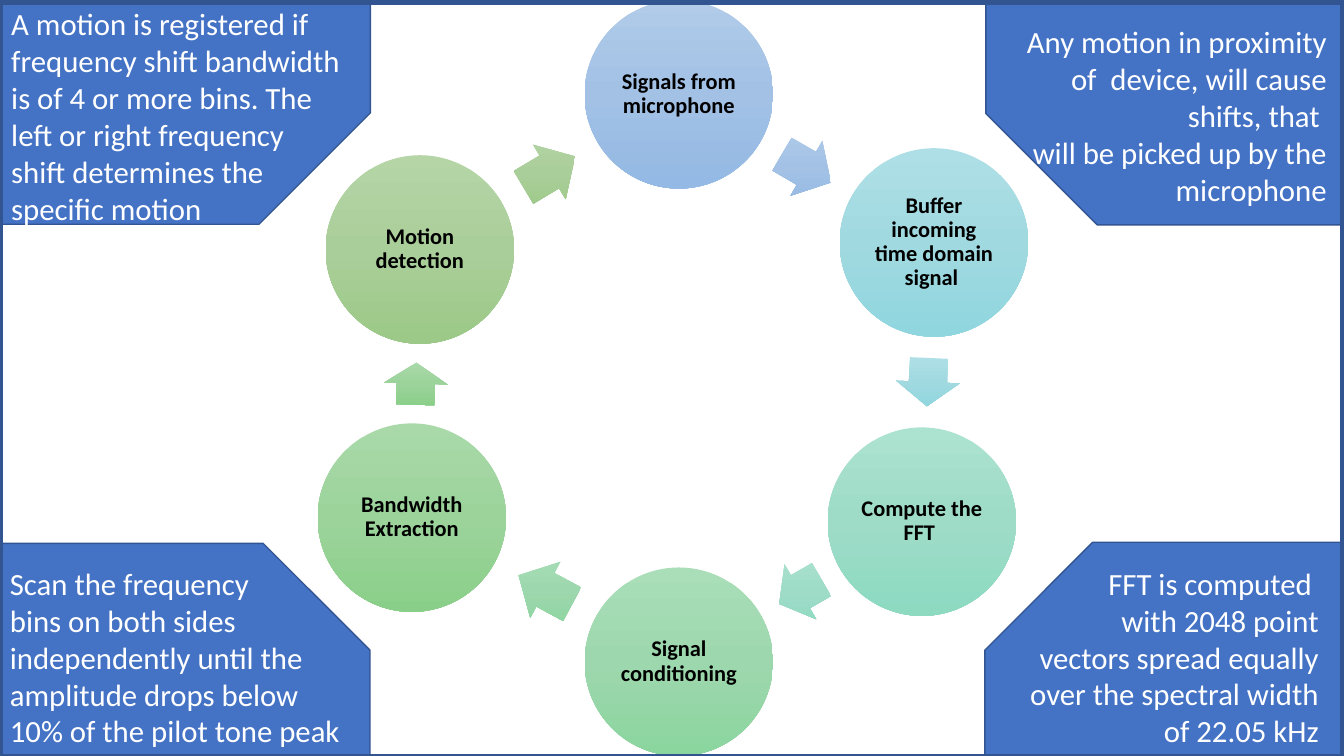
from dataclasses import dataclass
from math import atan2, degrees, hypot

from pptx import Presentation
from pptx.dml.color import RGBColor
from pptx.enum.shapes import MSO_SHAPE as Shape
from pptx.enum.text import MSO_ANCHOR as Anchor, PP_ALIGN as Align
from pptx.oxml import parse_xml
from pptx.util import Inches, Pt

NS = "http://schemas.openxmlformats.org/drawingml/2006/main"
SLIDE_W, SLIDE_H = 13.333, 7.5


@dataclass(frozen=True)
class Theme:
    font: str = "Calibri"
    panel: str = "4472C4"
    edge: str = "325491"
    label: str = "000000"
    note: str = "FFFFFF"
    label_size: int = 16
    note_size: int = 22
    edge_width: float = 1
    frame_width: float = 5


@dataclass(frozen=True)
class Box:
    """A rectangle in percent of the slide's width and height."""
    x: float
    y: float
    w: float
    h: float

    def inches(self) -> tuple[float, float, float, float]:
        return (self.x * SLIDE_W / 100, self.y * SLIDE_H / 100,
                self.w * SLIDE_W / 100, self.h * SLIDE_H / 100)


@dataclass(frozen=True)
class Step:
    """A circle of the cycle; its centre is in percent of the slide."""
    text: str
    x: float
    y: float
    colors: tuple[str, str, str]

    def center(self) -> tuple[float, float]:
        return self.x * SLIDE_W / 100, self.y * SLIDE_H / 100


@dataclass(frozen=True)
class Corner:
    panel: Box
    turns: int
    note: Box
    align: Align
    lines: tuple[str, ...]


THEME = Theme()
DIAMETER = 0.2493 * SLIDE_H
ARROW_W = 0.084 * SLIDE_H
ARROW_SHARE = 0.53  # of the gap between two circles

STEPS = (
    Step("Signals from microphone", 50.51, 12.47, ("B1CBE9", "A3C1E5", "93B9E4")),
    Step("Buffer incoming time domain signal ", 69.49, 32.07, ("AEDFE6", "A1D9E0", "90D6DF")),
    Step("Compute the FFT ", 68.59, 69, ("ACE2D0", "9EDCC8", "8DDAC1")),
    Step("Signal conditioning", 50.51, 87.53, ("AADEB8", "9DD7AD", "8BD59F")),
    Step("Bandwidth Extraction", 30.64, 68.47, ("A9D9A9", "9CD39B", "8ACF89")),
    Step("Motion detection", 31.24, 33, ("B5D5A7", "AACE9A", "9CC987")),
)

CORNERS = (
    Corner(Box(73.35, 0.27, 26.7, 29.47), 2, Box(73.8, 2.4, 25.65, 26), Align.RIGHT,
           ("Any motion in proximity of  device, will cause shifts, that ",
            "will be picked up by the microphone")),
    Corner(Box(73.28, 71.73, 26.7, 28.53), 3, Box(75.83, 74, 23.03, 30.93), Align.RIGHT,
           ("FFT is computed ",
            "with 2048 point vectors spread equally over the spectral width of 22.05 kHz")),
    Corner(Box(0.08, 71.87, 27.45, 28.27), 0, Box(0, 74, 26.18, 26), Align.LEFT,
           ("Scan the frequency",
            "bins on both sides independently until the amplitude drops below "
            "10% of the pilot tone peak")),
    Corner(Box(-0.04, 0.2, 27.6, 29.47), 1, Box(0.1, 0, 26.18, 30.93), Align.LEFT,
           ("A motion is registered if frequency shift bandwidth is of 4 or more bins. "
            "The left or right frequency shift determines the specific motion",)),
)
FRAME = Box(0, 0.27, 100, 100)


def set_all(target, values: dict) -> None:
    for name, value in values.items():
        setattr(target, name, value)


def add_centered(s, kind: Shape, cx: float, cy: float, w: float, h: float, rotation: float = 0):
    sp = s.shapes.add_shape(kind, Inches(cx - w / 2), Inches(cy - h / 2), Inches(w), Inches(h))
    sp.rotation = rotation
    sp.shadow.inherit = False
    return sp


def outline(sp, width: float) -> None:
    sp.line.color.rgb = RGBColor.from_string(THEME.edge)
    sp.line.width = Pt(width)


def shade(sp, colors: tuple[str, ...]) -> None:
    """Fill top to bottom with evenly spaced colours, upright at any rotation."""
    sp.line.fill.background()
    sp.fill.gradient()
    grad = sp.fill._fill._gradFill
    grad.set("rotWithShape", "0")
    stops = "".join(
        f'<a:gs pos="{i * 100000 // (len(colors) - 1)}"><a:srgbClr val="{color}"/></a:gs>'
        for i, color in enumerate(colors))
    grad.replace(grad.find(f"{{{NS}}}gsLst"),
                 parse_xml(f'<a:gsLst xmlns:a="{NS}">{stops}</a:gsLst>'))
    sp.fill.gradient_angle = 270


def write(tf, lines: tuple[str, ...], align: Align, color: str, para: dict, font: dict) -> None:
    tf.word_wrap = True
    for i, line in enumerate(lines):
        p = tf.add_paragraph() if i else tf.paragraphs[0]
        set_all(p, {"alignment": align, **para})
        r = p.add_run()
        r.text = line
        set_all(r.font, {"name": THEME.font, **font})
        r.font.color.rgb = RGBColor.from_string(color)


def add_step(s, step: Step) -> None:
    sp = add_centered(s, Shape.OVAL, *step.center(), DIAMETER, DIAMETER)
    shade(sp, step.colors)
    tf = sp.text_frame
    margins = ("margin_left", "margin_top", "margin_right", "margin_bottom")
    set_all(tf, {"vertical_anchor": Anchor.MIDDLE, **dict.fromkeys(margins, Inches(0.02))})
    write(tf, (step.text,), Align.CENTER, THEME.label, {"line_spacing": 0.9},
          {"size": Pt(THEME.label_size), "bold": True})


def add_arrow(s, start: Step, end: Step) -> None:
    (x1, y1), (x2, y2) = start.center(), end.center()
    dx, dy = x2 - x1, y2 - y1
    length = (hypot(dx, dy) - DIAMETER) * ARROW_SHARE
    sp = add_centered(s, Shape.RIGHT_ARROW, (x1 + x2) / 2, (y1 + y2) / 2,
                      length, ARROW_W, degrees(atan2(dy, dx)) % 360)
    sp.adjustments[0], sp.adjustments[1] = 0.6, 0.5
    shade(sp, start.colors)


def add_panel(s, corner: Corner) -> None:
    x, y, w, h = corner.panel.inches()
    size = (h, w) if corner.turns % 2 else (w, h)
    sp = add_centered(s, Shape.SNIP_1_RECTANGLE, x + w / 2, y + h / 2, *size, corner.turns * 90)
    sp.adjustments[0] = 0.5
    sp.fill.solid()
    sp.fill.fore_color.rgb = RGBColor.from_string(THEME.panel)
    outline(sp, THEME.edge_width)


def add_note(s, corner: Corner) -> None:
    box = s.shapes.add_textbox(*map(Inches, corner.note.inches()))
    write(box.text_frame, corner.lines, corner.align, THEME.note, {},
          {"size": Pt(THEME.note_size)})


def add_frame(s) -> None:
    x, y, w, h = FRAME.inches()
    sp = add_centered(s, Shape.RECTANGLE, x + w / 2, y + h / 2, w, h)
    sp.fill.background()
    outline(sp, THEME.frame_width)


def main() -> None:
    prs = Presentation()
    set_all(prs, {"slide_width": Inches(SLIDE_W), "slide_height": Inches(SLIDE_H)})
    s = prs.slides.add_slide(prs.slide_layouts[6])
    for step, following in zip(STEPS, STEPS[1:] + STEPS[:1]):
        add_step(s, step)
        add_arrow(s, step, following)
    for corner in CORNERS:
        add_panel(s, corner)
    for corner in CORNERS:
        add_note(s, corner)
    add_frame(s)
    prs.save("out.pptx")


if __name__ == "__main__":
    main()
